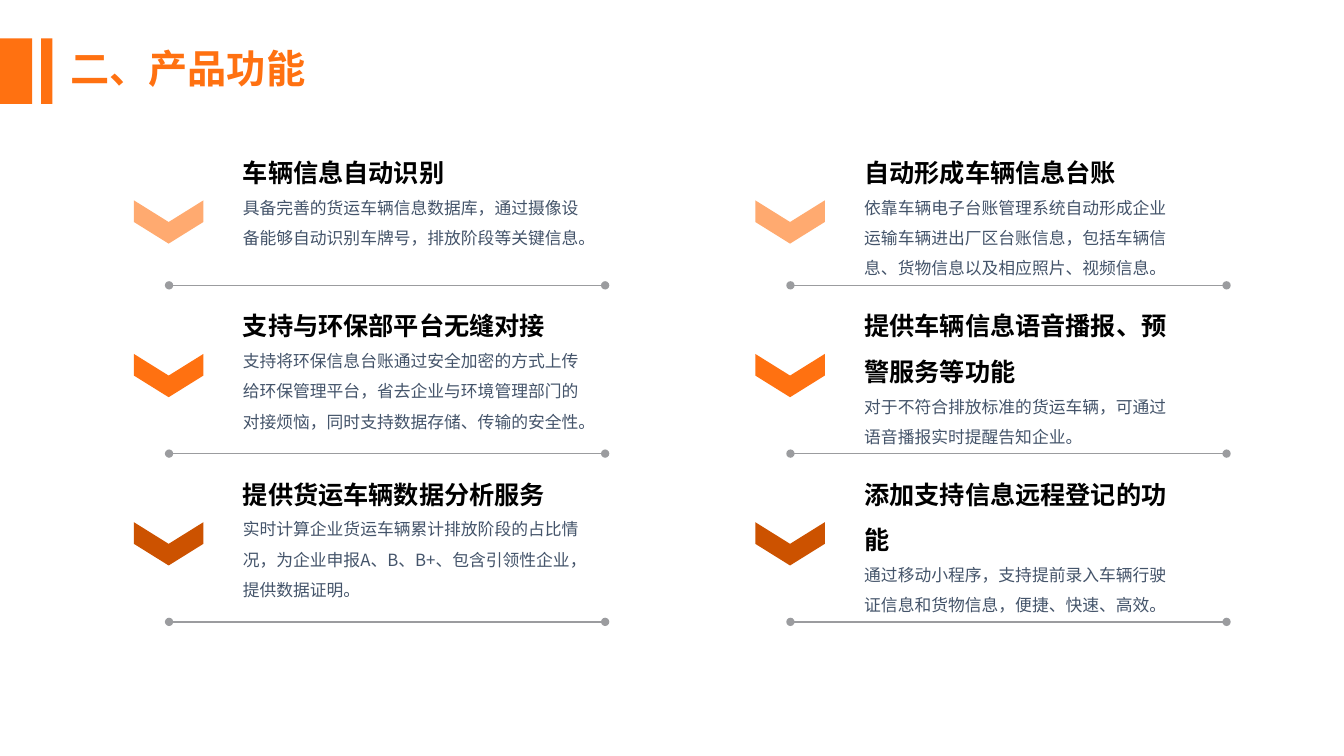
from dataclasses import dataclass

from lxml import etree
from pptx import Presentation
from pptx.dml.color import RGBColor
from pptx.enum.shapes import MSO_CONNECTOR, MSO_SHAPE
from pptx.enum.text import MSO_ANCHOR, MSO_AUTO_SIZE, PP_ALIGN
from pptx.oxml.ns import qn
from pptx.util import Cm, Pt

RECTANGLE = MSO_SHAPE.RECTANGLE
CHEVRON = MSO_SHAPE.CHEVRON
STRAIGHT = MSO_CONNECTOR.STRAIGHT
MIDDLE = MSO_ANCHOR.MIDDLE
LEFT = PP_ALIGN.LEFT
NO_AUTOFIT = MSO_AUTO_SIZE.NONE
GROW = MSO_AUTO_SIZE.SHAPE_TO_FIT_TEXT

TITLE = "二、产品功能"
FEATURE_COLUMNS = [
    [
        ("车辆信息自动识别",
         "具备完善的货运车辆信息数据库，通过摄像设备能够自动识别车牌号，排放阶段等关键信息。"),
        ("支持与环保部平台无缝对接",
         "支持将环保信息台账通过安全加密的方式上传给环保管理平台，省去企业与环境管理部门的对接烦恼，"
         "同时支持数据存储、传输的安全性。"),
        ("提供货运车辆数据分析服务",
         "实时计算企业货运车辆累计排放阶段的占比情况，为企业申报A、B、B+、包含引领性企业，提供数据证明。"),
    ],
    [
        ("自动形成车辆信息台账",
         "依靠车辆电子台账管理系统自动形成企业运输车辆进出厂区台账信息，包括车辆信息、"
         "货物信息以及相应照片、视频信息。"),
        ("提供车辆信息语音播报、预警服务等功能",
         "对于不符合排放标准的货运车辆，可通过语音播报实时提醒告知企业。"),
        ("添加支持信息远程登记的功能",
         "通过移动小程序，支持提前录入车辆行驶证信息和货物信息，便捷、快速、高效。"),
    ],
]


@dataclass(frozen=True)
class Theme:
    font: str = "Noto Sans CJK SC"
    accent: str = "FF7111"
    row_colors: tuple = ("FFAA70", "FF7111", "CC5200")
    heading: str = "000000"
    detail: str = "44546A"
    divider: str = "9B9C9F"
    title_size: float = 28
    heading_size: float = 18
    detail_size: float = 12
    divider_width: float = 1.2


THEME = Theme()
COLUMN_PITCH = 15.66
ROW_TOPS = (3.45, 7.32, 11.56)
TEXT_LEFT = 5.87
TEXT_WIDTHS = (9.3, 8.53)
TEXT_HEIGHT = 3.63
CHEVRON_CENTER = 4.25
CHEVRON_WIDTH, CHEVRON_HEIGHT = 1.09, 1.75
CHEVRON_DROP = 1.27
DIVIDER_LEFT, DIVIDER_LENGTH = 4.26, 10.99
FIRST_DIVIDER, DIVIDER_PITCH = 7.19, 4.24


def write(paragraph, text, *, size, color, bold=False, spacing=1.5):
    paragraph.alignment = LEFT
    paragraph.line_spacing = spacing
    paragraph.space_before = Pt(0)
    run = paragraph.add_run()
    run.text = text
    run.font.name = THEME.font
    run.font.size = Pt(size)
    run.font.bold = bold
    run.font.color.rgb = RGBColor.from_string(color)
    east_asian = etree.SubElement(run.font._element, qn("a:ea"))
    east_asian.set("typeface", THEME.font)


def add_block(slide, preset, left, top, width, height, color):
    block = slide.shapes.add_shape(preset, Cm(left), Cm(top), Cm(width), Cm(height))
    block.shadow.inherit = False
    block.fill.solid()
    block.fill.fore_color.rgb = RGBColor.from_string(color)
    block.line.fill.background()
    return block


def add_divider(slide, left, top):
    divider = slide.shapes.add_connector(
        STRAIGHT, Cm(left), Cm(top), Cm(left + DIVIDER_LENGTH), Cm(top))
    divider.line.width = Pt(THEME.divider_width)
    divider.line.color.rgb = RGBColor.from_string(THEME.divider)
    outline = divider.line._get_or_add_ln()
    for end in ("a:headEnd", "a:tailEnd"):
        etree.SubElement(outline, qn(end)).set("type", "oval")
    etree.SubElement(divider._element.spPr, qn("a:effectLst"))


def add_feature(slide, heading, detail, column, row):
    shift = column * COLUMN_PITCH
    top = ROW_TOPS[row]
    chevron = add_block(
        slide, CHEVRON, shift + CHEVRON_CENTER - CHEVRON_WIDTH / 2, top + CHEVRON_DROP,
        CHEVRON_WIDTH, CHEVRON_HEIGHT, THEME.row_colors[row])
    chevron.rotation = 90
    add_divider(slide, shift + DIVIDER_LEFT, FIRST_DIVIDER + row * DIVIDER_PITCH)
    frame = slide.shapes.add_textbox(
        Cm(shift + TEXT_LEFT), Cm(top), Cm(TEXT_WIDTHS[column]), Cm(TEXT_HEIGHT)).text_frame
    frame.word_wrap = True
    frame.auto_size = GROW
    write(frame.paragraphs[0], heading, size=THEME.heading_size, color=THEME.heading, bold=True)
    write(frame.add_paragraph(), detail, size=THEME.detail_size, color=THEME.detail)


def add_title(slide):
    for left, width in ((0, 0.81), (1.04, 0.28)):
        add_block(slide, RECTANGLE, left, 0.97, width, 1.65, THEME.accent)
    title = slide.shapes.title
    title.left, title.top, title.width, title.height = Cm(1.52), Cm(1.04), Cm(25), Cm(1.5)
    frame = title.text_frame
    frame.word_wrap = True
    frame.auto_size = NO_AUTOFIT
    frame.vertical_anchor = MIDDLE
    write(frame.paragraphs[0], TITLE, size=THEME.title_size, color=THEME.accent,
          bold=True, spacing=0.9)


def main():
    deck = Presentation()
    deck.slide_width, deck.slide_height = Cm(33.87), Cm(19.05)
    slide = deck.slides.add_slide(deck.slide_layouts[5])
    add_title(slide)
    for column, features in enumerate(FEATURE_COLUMNS):
        for row, (heading, detail) in enumerate(features):
            add_feature(slide, heading, detail, column, row)
    deck.save("out.pptx")


if __name__ == "__main__":
    main()
